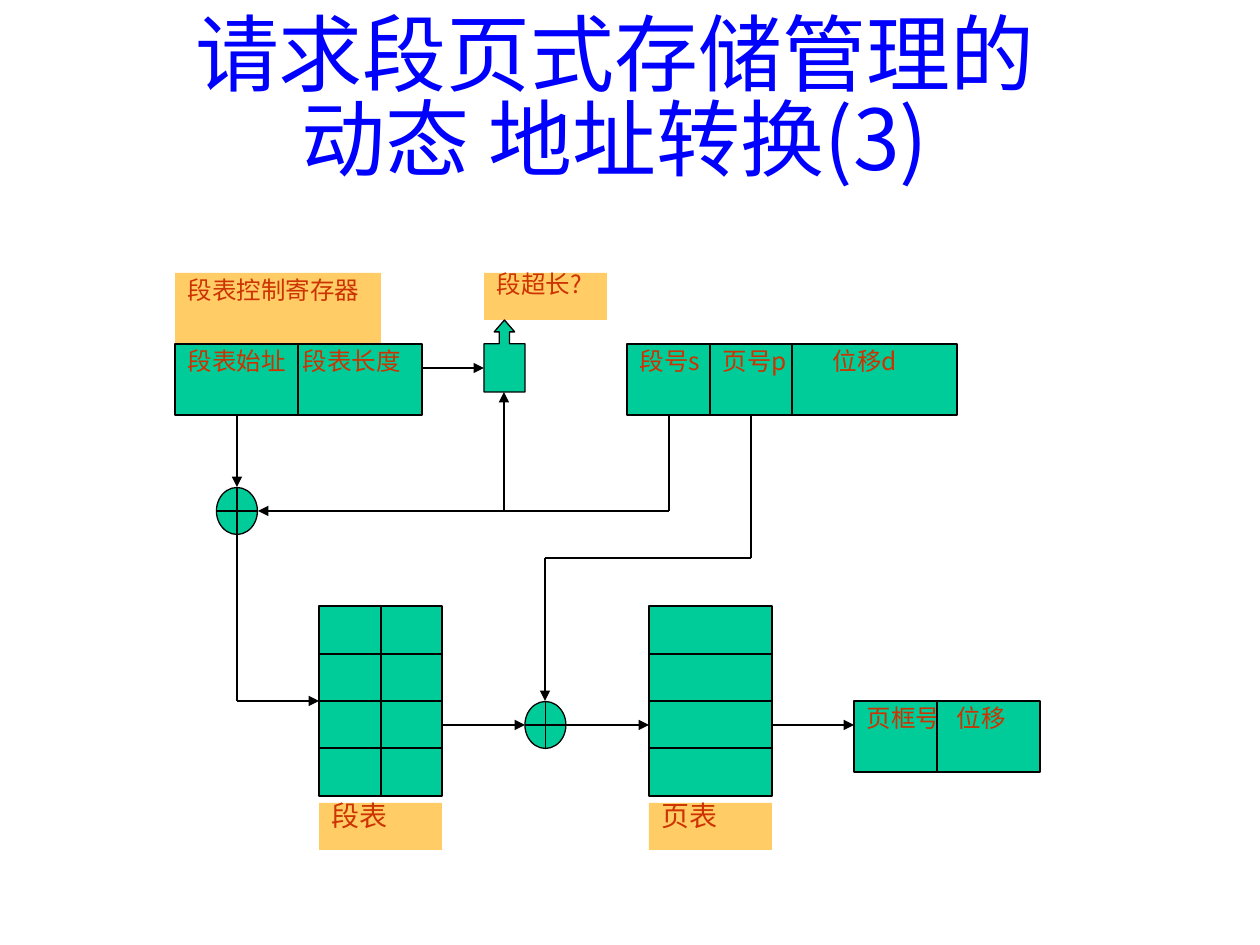
from itertools import pairwise

from pptx import Presentation
from pptx.dml.color import RGBColor
from pptx.enum.shapes import MSO_CONNECTOR, MSO_SHAPE
from pptx.enum.text import MSO_ANCHOR, MSO_AUTO_SIZE, PP_ALIGN
from pptx.oxml.ns import qn
from pptx.util import Emu, Pt
from lxml.etree import SubElement

SCALE = 914400 // 126
FONT = "Noto Sans CJK JP"
GREEN, ORANGE, RED, BLUE, BLACK = "00CC99", "FFCC66", "CC3300", "0000FF", "000000"


def px(length):
    """Turn pixels into EMU."""
    return Emu(round(length * SCALE))


def paint(target, colour):
    """Give a fill or a line fill one solid colour."""
    target.solid()
    target.fore_color.rgb = RGBColor.from_string(colour)


def write(shape, wording, size, colour, align, spacing, tabs=(), inset=6):
    """Set the text of a shape, with tab stops measured from its text edge."""
    frame = shape.text_frame
    frame.word_wrap = True
    frame.auto_size = MSO_AUTO_SIZE.NONE
    frame.vertical_anchor = MSO_ANCHOR.TOP
    frame.margin_left = frame.margin_right = px(12.6)
    frame.margin_top = frame.margin_bottom = px(inset)
    paragraph = frame.paragraphs[0]
    paragraph.alignment = align
    paragraph.line_spacing = spacing
    if tabs:
        stops = SubElement(paragraph._p.get_or_add_pPr(), qn("a:tabLst"))
        for stop in tabs:
            SubElement(stops, qn("a:tab"), pos=str(px(stop)), algn="l")
    run = paragraph.add_run()
    run.text = wording
    run.font.size = Pt(size)
    run.font.color.rgb = RGBColor.from_string(colour)
    run.font.name = FONT
    SubElement(run._r.get_or_add_rPr(), qn("a:ea"), typeface=FONT)


def block(slide, left, top, width, height, kind=MSO_SHAPE.RECTANGLE, fill=GREEN):
    """Add a filled shape; green parts carry a black outline."""
    part = slide.shapes.add_shape(kind, px(left), px(top), px(width), px(height))
    part.shadow.inherit = False
    paint(part.fill, fill)
    if fill == GREEN:
        paint(part.line.fill, BLACK)
        part.line.width = Pt(0.74)
    else:
        part.line.fill.background()
    return part


def route(slide, *points, arrow=True):
    """Join points with straight lines, ending in an arrowhead if wanted."""
    for start, end in pairwise(points):
        leg = slide.shapes.add_connector(
            MSO_CONNECTOR.STRAIGHT, *map(px, start), *map(px, end))
        paint(leg.line.fill, BLACK)
        leg.line.width = Pt(0.74)
        if arrow and end == points[-1]:
            SubElement(leg.line._get_or_add_ln(), qn("a:tailEnd"), type="triangle")
        SubElement(leg._element.spPr, qn("a:effectLst"))


def label(slide, left, top, width, height, wording, size=14, inset=0):
    """Add an orange caption."""
    caption = block(slide, left, top, width, height, fill=ORANGE)
    write(caption, wording, size, RED, PP_ALIGN.JUSTIFY, 0.88, inset=inset)


def register(slide, left, top, width, fields, dividers, tabs):
    """Add a register whose fields are parted by vertical lines."""
    body = block(slide, left, top, width, 71)
    write(body, "\t".join(fields), 14, RED, PP_ALIGN.JUSTIFY, 0.88, tabs)
    for x in dividers:
        route(slide, (x, top), (x, top + 71), arrow=False)


def memory_table(slide, left, name, columns):
    """Add a four-row table outline with its caption below."""
    top, width, height = 606, 123, 190
    block(slide, left, top, width, height)
    for row in range(1, 4):
        y = top + round(height * row / 4)
        route(slide, (left, y), (left + width, y), arrow=False)
    for column in range(1, columns):
        x = left + round(width * column / columns)
        route(slide, (x, top), (x, top + height), arrow=False)
    label(slide, left, 803, width, 47, name, size=16)


def adder(slide, x, y):
    """Add an address adder centred on a point."""
    block(slide, x - 20.5, y - 23.5, 41, 47, MSO_SHAPE.FLOWCHART_OR)


def main():
    """Build the slide."""
    deck = Presentation()
    deck.slide_width, deck.slide_height = px(1260), px(945)
    slide = deck.slides.add_slide(deck.slide_layouts[5])

    title = slide.shapes.title
    title.left, title.top, title.width, title.height = map(px, (174, 12, 882, 309))
    write(title, "请求段页式存储管理的动态 地址转换(3)", 48, BLUE, PP_ALIGN.CENTER, 0.84)

    label(slide, 175, 273, 206, 71, "段表控制寄存器", inset=6)
    label(slide, 484, 273, 123, 47, "段超长?")
    register(slide, 175, 344, 247, ("段表始址", "段表长度"), (298,), (115,))
    register(slide, 627, 344, 330, ("段号s", "页号p", "位移d"), (710, 792), (83, 193))
    register(slide, 854, 701, 186, ("页框号", "位移"), (937,), (90,))

    length_check = block(slide, 484, 320, 41, 72, MSO_SHAPE.UP_ARROW_CALLOUT)
    for index, value in enumerate((0.25, 0.25, 0.29, 0.67)):
        length_check.adjustments[index] = value

    memory_table(slide, 319, "段表", 2)
    memory_table(slide, 649, "页表", 1)
    adder(slide, 237, 511)
    adder(slide, 545.5, 725)

    route(slide, (422, 368), (484, 368))
    route(slide, (504, 511), (504, 392))
    route(slide, (237, 416), (237, 487))
    route(slide, (669, 416), (669, 511), (258, 511))
    route(slide, (237, 535), (237, 701), (319, 701))
    route(slide, (751, 416), (751, 558), (545, 558), (545, 701))
    for start, end in ((442, 525), (566, 649), (772, 854)):
        route(slide, (start, 725), (end, 725))

    deck.save("out.pptx")


main()
